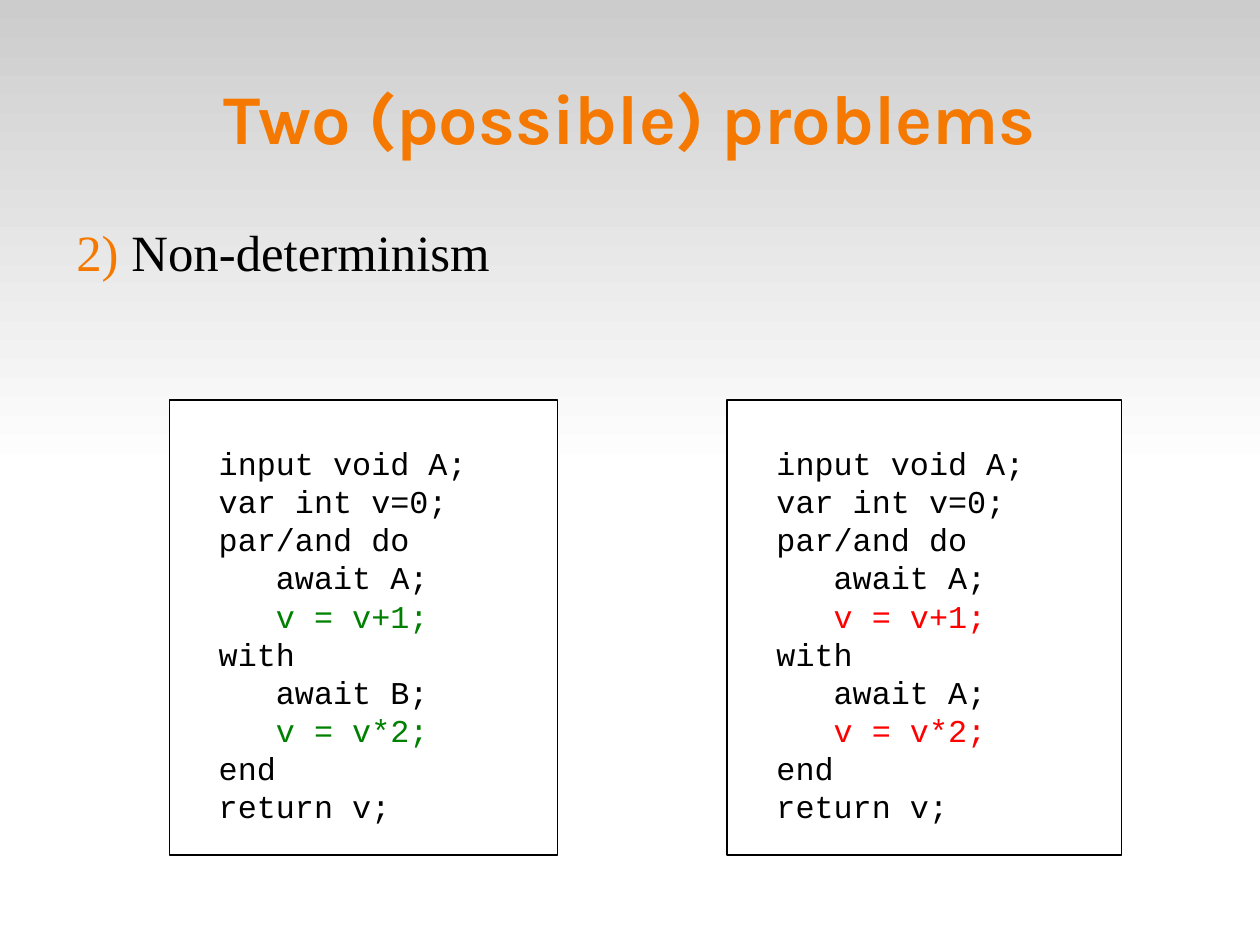
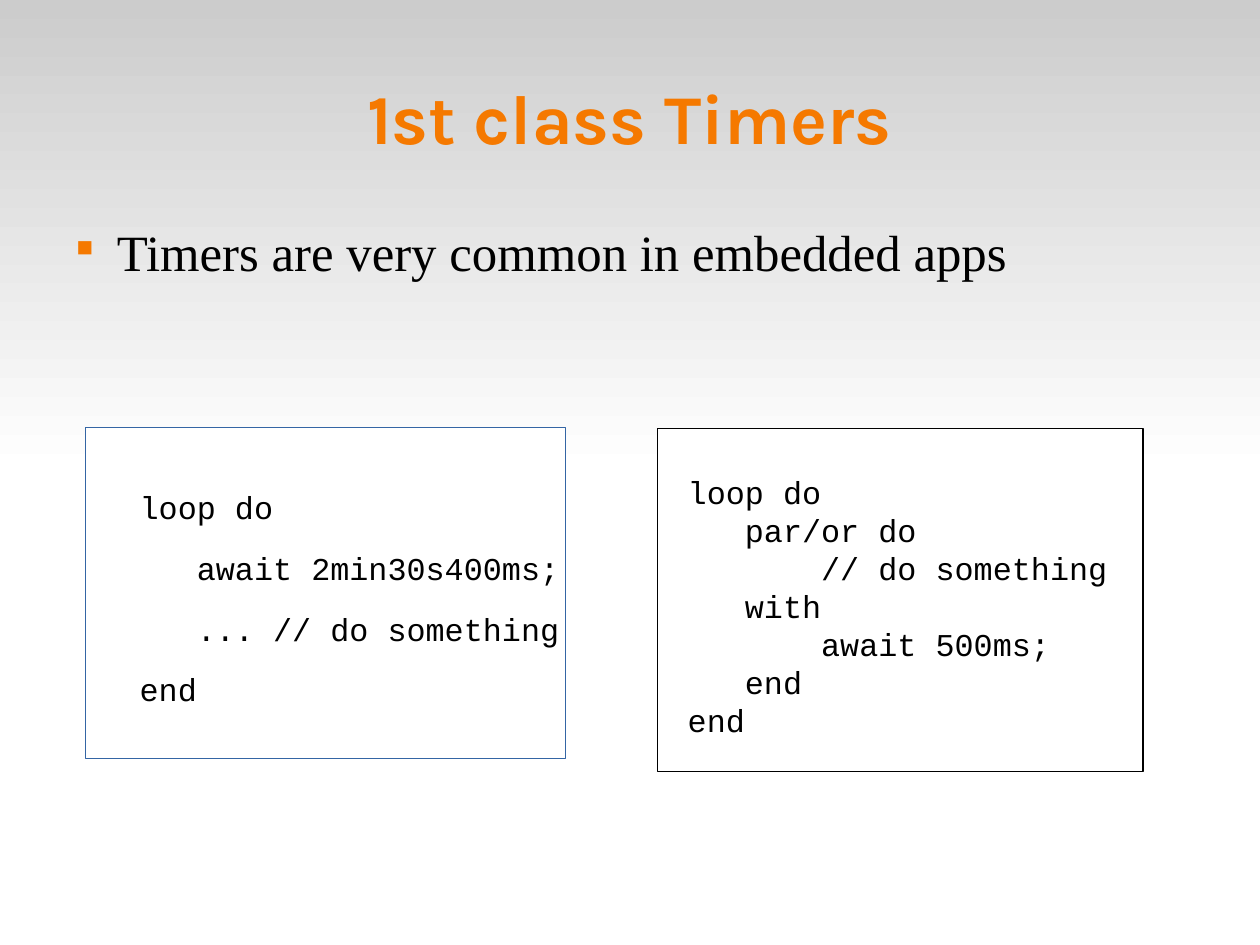
from lxml import etree
from pptx import Presentation
from pptx.dml.color import RGBColor
from pptx.enum import shapes, text
from pptx.oxml import ns
from pptx.util import Pt

# Shared look
WIDTH, HEIGHT = 793.7, 595.28
MARGIN, CONTENT_WIDTH = 39.6, 714.24
ORANGE, BLACK, WHITE, GREY = "F57900", "000000", "FFFFFF", "CCCCCC"
GREEN, RED, BLUE = "008000", "FF0000", "3465A4"
TITLE_FONT, BODY_FONT, CODE_FONT = "Karla", "Times New Roman", "Courier New"
CODE_SIZE, CODE_LINE, CODE_CHAR = 20, 24, 12
BOX_INSET_X, BOX_INSET_Y = 7.2, 3.6
BODY_INDENT, BODY_HANGING, BODY_GAP = 34, 25.5, 14.2


def color(hex_string):
    return RGBColor.from_string(hex_string)


def set_frame(frame, left=0, top=0, anchor=text.MSO_ANCHOR.TOP):
    frame.word_wrap = True
    frame.auto_size = text.MSO_AUTO_SIZE.NONE
    frame.vertical_anchor = anchor
    frame.margin_left, frame.margin_top = Pt(left), Pt(top)
    frame.margin_right = frame.margin_bottom = Pt(0)


def add_run(paragraph, words, font, size, hex_string, bold=False):
    run = paragraph.add_run()
    run.text = words
    run.font.name, run.font.size, run.font.bold = font, Pt(size), bold
    run.font.color.rgb = color(hex_string)


def add_rectangle(slide, left, top, width, height):
    shape = slide.shapes.add_shape(
        shapes.MSO_SHAPE.RECTANGLE, Pt(left), Pt(top), Pt(width), Pt(height))
    shape.shadow.inherit = False
    return shape


def add_band_to_layout(slide):
    """Put the gradient band behind every slide that uses this layout."""
    band = add_rectangle(slide, 0, 0, WIDTH, HEIGHT / 2)
    band.line.fill.background()
    band.fill.gradient()
    band.fill.gradient_angle = 270
    for stop, hex_string in zip(band.fill.gradient_stops, (GREY, WHITE)):
        stop.color.rgb = color(hex_string)
    for position, stop in enumerate(band.fill.gradient_stops):
        stop.position = position
    slide.slide_layout.shapes.element.insert(2, band.element)


def set_title(slide, words):
    title = slide.shapes.title
    title.left, title.top = Pt(MARGIN), Pt(23.76)
    title.width, title.height = Pt(CONTENT_WIDTH), Pt(99.36)
    set_frame(title.text_frame, anchor=text.MSO_ANCHOR.MIDDLE)
    paragraph = title.text_frame.paragraphs[0]
    paragraph.alignment = text.PP_ALIGN.CENTER
    add_run(paragraph, words, TITLE_FONT, 44, ORANGE, bold=True)


def add_bullet(paragraph, tag, size=100, **attributes):
    properties = paragraph._p.get_or_add_pPr()
    properties.set("marL", str(Pt(BODY_INDENT)))
    properties.set("indent", str(-Pt(BODY_HANGING)))
    bullet_color = etree.SubElement(properties, ns.qn("a:buClr"))
    etree.SubElement(bullet_color, ns.qn("a:srgbClr"), val=ORANGE)
    etree.SubElement(properties, ns.qn("a:buSzPct"), val=str(size * 1000))
    etree.SubElement(properties, ns.qn(tag), **attributes)


def add_body(slide, words, tag, **bullet):
    box = slide.shapes.add_textbox(Pt(MARGIN), Pt(139), Pt(CONTENT_WIDTH), Pt(60))
    set_frame(box.text_frame)
    paragraph = box.text_frame.paragraphs[0]
    add_bullet(paragraph, tag, **bullet)
    add_run(paragraph, words, BODY_FONT, 32, BLACK)


def add_code(slide, place, code, inset, line_color=BLACK, gap=0, marked=None):
    """Draw a code box; lines starting with "v =" take the marked colour."""
    box = add_rectangle(slide, *place)
    box.fill.solid()
    box.fill.fore_color.rgb = color(WHITE)
    box.line.color.rgb = color(line_color)
    box.line.width = Pt(0)
    frame = box.text_frame
    set_frame(frame, *inset)
    for number, line in enumerate(code.splitlines()):
        paragraph = frame.add_paragraph() if number else frame.paragraphs[0]
        paragraph.alignment = text.PP_ALIGN.LEFT
        paragraph.line_spacing = Pt(CODE_LINE)
        paragraph.space_after = Pt(gap)
        is_marked = marked and line.lstrip().startswith("v =")
        add_run(paragraph, line, CODE_FONT, CODE_SIZE, marked if is_marked else BLACK)


def code_inset(columns):
    """Start the code one line down and some columns in."""
    return BOX_INSET_X + columns * CODE_CHAR, BOX_INSET_Y + CODE_LINE


PARALLEL_CODE = """input void A;
var int v=0;
par/and do
   await A;
   v = v+1;
with
   await {event};
   v = v*2;
end
return v;"""

TIMER_CODE = """loop do
   await 2min30s400ms;
   ... // do something
end"""

TIMEOUT_CODE = """loop do
   par/or do
       // do something
   with
       await 500ms;
   end
end"""


def build_problems(slide):
    set_title(slide, "Two (possible) problems")
    add_body(slide, " Non-determinism", "a:buAutoNum", type="arabicParenR", startAt="2")
    for left, width, event, marked in ((106.6, 244.8, "B", GREEN), (457.9, 248.4, "A", RED)):
        add_code(slide, (left, 252, width, 286.6), PARALLEL_CODE.format(event=event),
                 code_inset(2), marked=marked)


def build_timers(slide):
    set_title(slide, "1st class Timers")
    add_body(slide, "Timers are very common in embedded apps", "a:buChar", size=45, char="■")
    add_code(slide, (54, 269.3, 302.4, 208.5), TIMER_CODE,
             (BODY_INDENT, CODE_LINE + BODY_GAP), line_color=BLUE, gap=BODY_GAP)
    add_code(slide, (414, 270, 306, 216), TIMEOUT_CODE, code_inset(1))


def main():
    presentation = Presentation()
    presentation.slide_width, presentation.slide_height = Pt(WIDTH), Pt(HEIGHT)
    title_only = presentation.slide_layouts[5]
    slides = [presentation.slides.add_slide(title_only) for _ in range(2)]
    add_band_to_layout(slides[0])
    for build, slide in zip((build_problems, build_timers), slides):
        build(slide)
    presentation.save("out.pptx")


if __name__ == "__main__":
    main()
